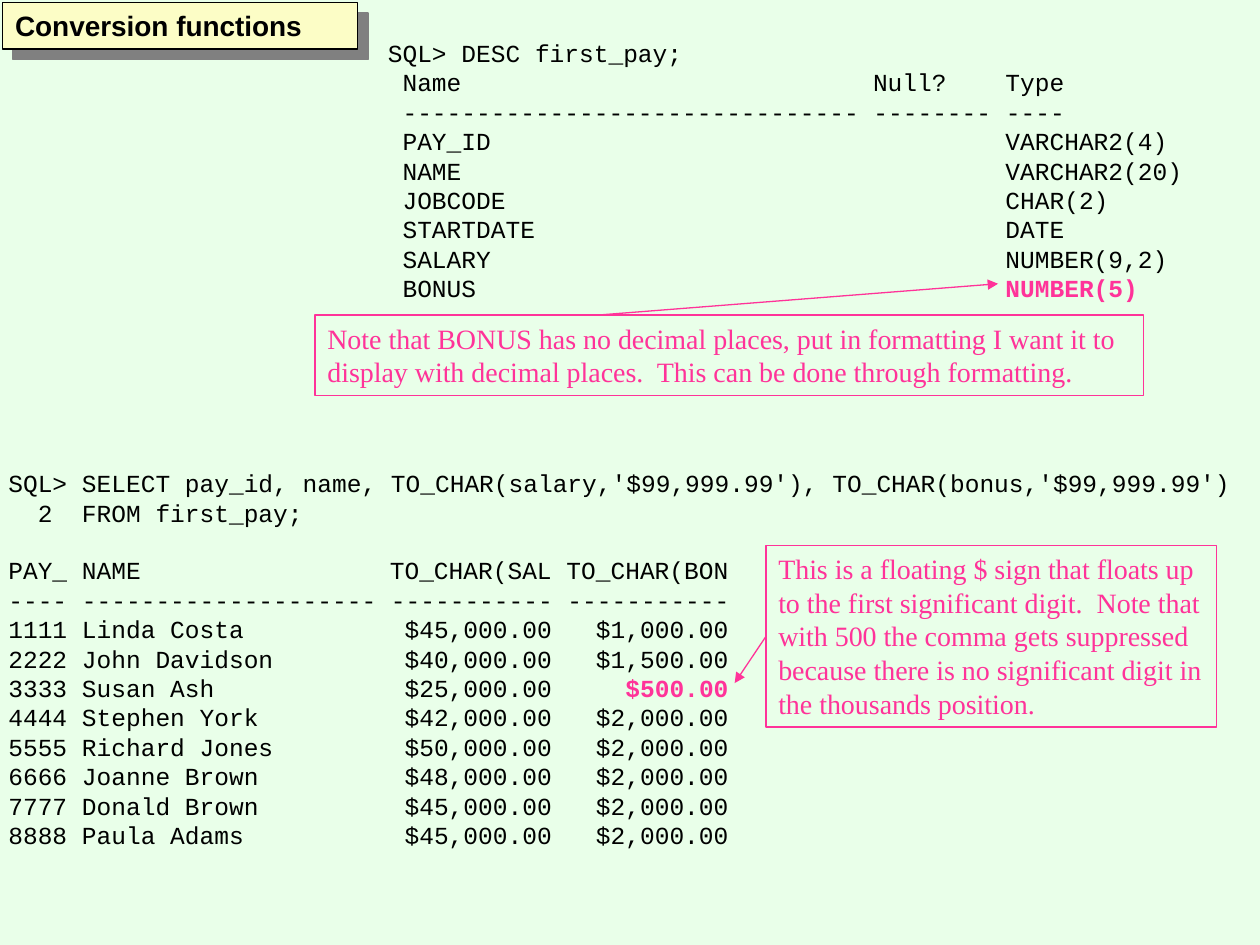
from lxml import etree
from pptx import Presentation
from pptx.dml.color import RGBColor
from pptx.enum.shapes import MSO_CONNECTOR, MSO_SHAPE
from pptx.enum.text import MSO_ANCHOR, PP_ALIGN
from pptx.oxml.ns import qn
from pptx.util import Cm, Pt

STRAIGHT = MSO_CONNECTOR.STRAIGHT
RECT = MSO_SHAPE.RECTANGLE
TOP = MSO_ANCHOR.TOP
LEFT = PP_ALIGN.LEFT

MINT = RGBColor(0xE9, 0xFF, 0xE9)
CREAM = RGBColor(0xFC, 0xFD, 0xC6)
BLACK = RGBColor(0, 0, 0)
GREY = RGBColor(0x80, 0x80, 0x80)
PINK = RGBColor(0xFF, 0x33, 0x99)

TITLE = "Conversion functions"
DESC = [
    "SQL> DESC first_pay;",
    " Name\tNull?\tType",
    " ------------------------------- -------- ----",
    " PAY_ID\t\tVARCHAR2(4)",
    " NAME\t\tVARCHAR2(20)",
    " JOBCODE\t\tCHAR(2)",
    " STARTDATE\t\tDATE",
    " SALARY\t\tNUMBER(9,2)",
    (" BONUS\t\t", "NUMBER(5)"),
]
QUERY = [
    "SQL> SELECT pay_id, name, TO_CHAR(salary,'$99,999.99'), TO_CHAR(bonus,'$99,999.99')",
    "  2  FROM first_pay;",
    "PAY_ NAME\tTO_CHAR(SAL\tTO_CHAR(BON",
    "---- -------------------- ----------- -----------",
    "1111 Linda Costa\t$45,000.00\t$1,000.00",
    "2222 John Davidson\t$40,000.00\t$1,500.00",
    ("3333 Susan Ash\t$25,000.00\t", "$500.00"),
    "4444 Stephen York\t$42,000.00\t$2,000.00",
    "5555 Richard Jones\t$50,000.00\t$2,000.00",
    "6666 Joanne Brown\t$48,000.00\t$2,000.00",
    "7777 Donald Brown\t$45,000.00\t$2,000.00",
    "8888 Paula Adams\t$45,000.00\t$2,000.00",
]
BONUS = ("Note that BONUS has no decimal places, put in formatting I want it to "
         "display with decimal places.  This can be done through formatting.")
FLOAT = ("This is a floating $ sign that floats up to the first significant digit.  "
         "Note that with 500 the comma gets suppressed because there is no "
         "significant digit in the thousands position.")


def write(frame, lines, font, size, color=BLACK, bold=False, stops=(), side="l", gaps=()):
    frame.word_wrap = True
    frame.vertical_anchor = TOP
    for i, line in enumerate(lines):
        para = frame.paragraphs[0] if i == 0 else frame.add_paragraph()
        para.alignment = LEFT
        if i in gaps:
            para.space_before = Pt(16)
        if stops:
            tabs = etree.SubElement(para._p.get_or_add_pPr(), qn("a:tabLst"))
            for stop in stops:
                etree.SubElement(tabs, qn("a:tab"), pos=str(Cm(stop)), algn=side)
        parts = (line,) if isinstance(line, str) else line
        for j, part in enumerate(parts):
            run = para.add_run()
            run.text = part
            run.font.name = font
            run.font.size = Pt(size)
            run.font.bold = bold or j > 0
            run.font.color.rgb = PINK if j else color


def outline(shape, color):
    shape.line.color.rgb = color
    shape.line.width = Pt(0.75)


def add_shade(shape):
    shape.shadow.inherit = False
    effects = shape._element.spPr.find(qn("a:effectLst"))
    shade = etree.SubElement(effects, qn("a:outerShdw"), blurRad="0",
                             dist=str(Pt(8.5)), dir="2700000", algn="ctr",
                             rotWithShape="0")
    etree.SubElement(shade, qn("a:srgbClr"), val=str(GREY))


def add_title(slide):
    title = slide.shapes.title
    title.left, title.top, title.width, title.height = Cm(0.05), Cm(0.05), Cm(7.16), Cm(0.94)
    title.fill.solid()
    title.fill.fore_color.rgb = CREAM
    outline(title, BLACK)
    add_shade(title)
    write(title.text_frame, [TITLE], "Arial", 16, bold=True)


def add_code(slide, box, lines, **form):
    shape = slide.shapes.add_textbox(*map(Cm, box))
    write(shape.text_frame, lines, "Courier New", 14, **form)


def add_note(slide, box, text):
    note = slide.shapes.add_shape(RECT, *map(Cm, box))
    note.shadow.inherit = False
    note.fill.background()
    outline(note, PINK)
    write(note.text_frame, [text], "Times New Roman", 16, color=PINK)
    return note


def add_arrow(slide, ends):
    arrow = slide.shapes.add_connector(STRAIGHT, *map(Cm, ends))
    outline(arrow, PINK)
    etree.SubElement(arrow.line._get_or_add_ln(), qn("a:tailEnd"), type="triangle")
    etree.SubElement(arrow._element.spPr, qn("a:effectLst"))
    return arrow


def main():
    deck = Presentation()
    deck.slide_width, deck.slide_height = Cm(25.4), Cm(19.05)
    slide = deck.slides.add_slide(deck.slide_layouts[5])
    slide.background.fill.solid()
    slide.background.fill.fore_color.rgb = MINT
    add_title(slide)
    add_code(slide, (7.57, 0.64, 16.56, 5.59), DESC, stops=(9.78, 12.45))
    add_code(slide, (-0.08, 9.32, 25.17, 7.98), QUERY,
             stops=(10.96, 14.52), side="r", gaps=(2,))
    add_note(slide, (6.35, 6.35, 16.71, 1.63), BONUS)
    add_arrow(slide, (12.07, 6.35, 20.12, 5.72))
    note = add_note(slide, (15.44, 11, 9.09, 3.66), FLOAT)
    arrow = add_arrow(slide, (15.44, 12.9, 14.81, 13.77))
    arrow.begin_connect(note, 1)
    deck.save("out.pptx")


if __name__ == "__main__":
    main()
